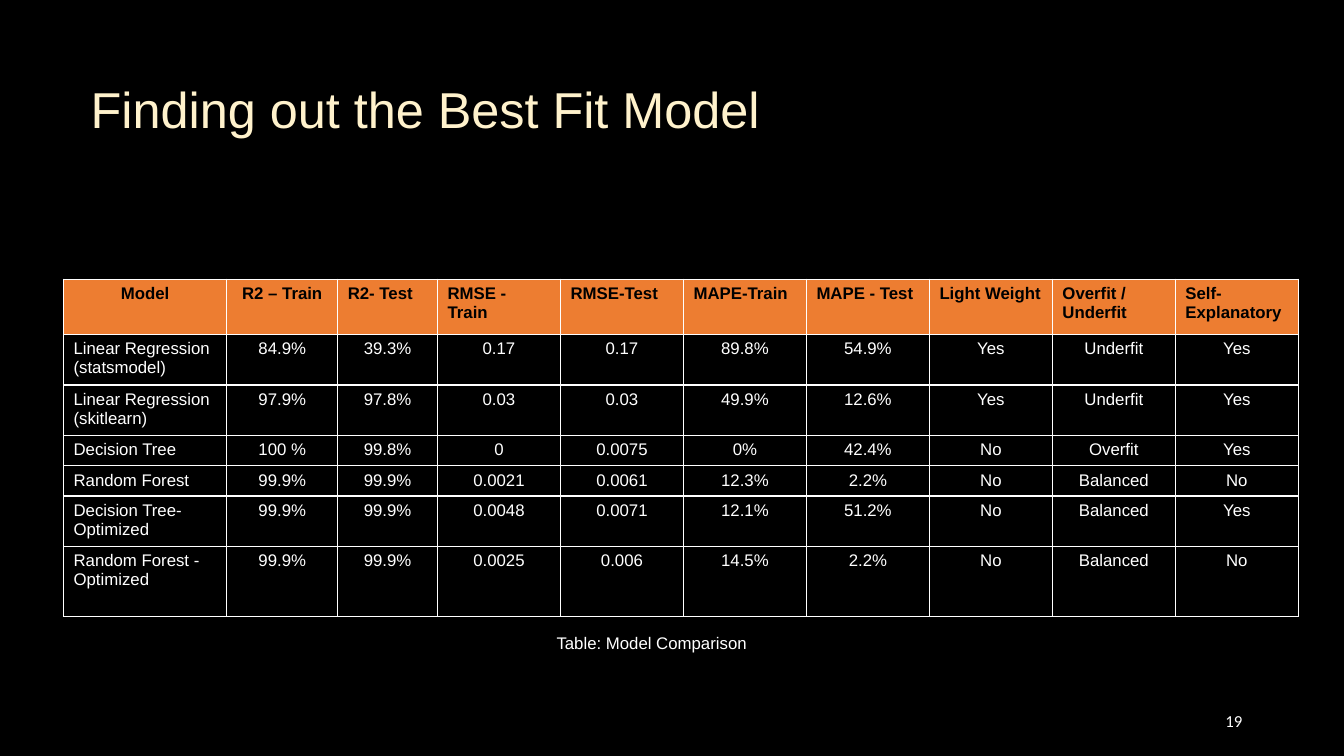
from lxml.etree import SubElement
from pptx import Presentation
from pptx.dml.color import RGBColor
from pptx.enum.text import MSO_ANCHOR as Anchor, PP_ALIGN as Align
from pptx.oxml.ns import qn
from pptx.util import Inches, Pt

BLACK = RGBColor(0x00, 0x00, 0x00)
WHITE = RGBColor(0xFF, 0xFF, 0xFF)
CREAM = RGBColor(0xFF, 0xF2, 0xCC)
ORANGE = RGBColor(0xED, 0x7D, 0x31)

HEADERS = ["Model", "R2 – Train", "R2- Test", "RMSE - Train", "RMSE-Test",
           "MAPE-Train", "MAPE - Test", "Light Weight", "Overfit / Underfit",
           "Self-Explanatory"]
MODELS = [
    ["Linear Regression (statsmodel)", "84.9%", "39.3%", "0.17", "0.17",
     "89.8%", "54.9%", "Yes", "Underfit", "Yes"],
    ["Linear Regression (skitlearn)", "97.9%", "97.8%", "0.03", "0.03",
     "49.9%", "12.6%", "Yes", "Underfit", "Yes"],
    ["Decision Tree", "100 %", "99.8%", "0", "0.0075",
     "0%", "42.4%", "No", "Overfit", "Yes"],
    ["Random Forest", "99.9%", "99.9%", "0.0021", "0.0061",
     "12.3%", "2.2%", "No", "Balanced", "No"],
    ["Decision Tree- Optimized", "99.9%", "99.9%", "0.0048", "0.0071",
     "12.1%", "51.2%", "No", "Balanced", "Yes"],
    ["Random Forest - Optimized", "99.9%", "99.9%", "0.0025", "0.006",
     "14.5%", "2.2%", "No", "Balanced", "No"],
]
COLUMN_WIDTHS = [1.62, 1.1, 0.99] + [1.22] * 7
ROW_HEIGHTS = [0.55, 0.5, 0.5, 0.3, 0.3, 0.5, 0.7]


def write(text_frame, text, size, color, align, font="Arial", bold=False):
    text_frame.text = text
    text_frame.word_wrap = True
    paragraph = text_frame.paragraphs[0]
    paragraph.alignment = align
    for run in paragraph.runs:
        run.font.name = font
        run.font.size = Pt(size)
        run.font.bold = bold
        run.font.color.rgb = color


def add_borders(cell):
    properties = cell._tc.get_or_add_tcPr()
    for side in ("a:lnL", "a:lnR", "a:lnT", "a:lnB"):
        line = SubElement(properties, qn(side), w=str(Pt(1)))
        fill = SubElement(line, qn("a:solidFill"))
        SubElement(fill, qn("a:srgbClr"), val=str(WHITE))


presentation = Presentation()
presentation.slide_width = Inches(13.33)
presentation.slide_height = Inches(7.5)
slide = presentation.slides.add_slide(presentation.slide_layouts[5])
slide.background.fill.solid()
slide.background.fill.fore_color.rgb = BLACK

# Title
title = slide.shapes.title
title.left, title.top = Inches(0.63), Inches(0.72)
title.width, title.height = Inches(7.18), Inches(0.71)
write(title.text_frame, "Finding out the Best Fit Model", 36, CREAM, Align.CENTER)
title.text_frame.vertical_anchor = Anchor.TOP

# Model comparison table
rows = [HEADERS] + MODELS
table = slide.shapes.add_table(
    len(rows), len(HEADERS), Inches(0.63), Inches(2.77),
    Inches(sum(COLUMN_WIDTHS)), Inches(sum(ROW_HEIGHTS))).table
for column, width in zip(table.columns, COLUMN_WIDTHS):
    column.width = Inches(width)
for row, height in zip(table.rows, ROW_HEIGHTS):
    row.height = Inches(height)

for row_index, row in enumerate(rows):
    is_header = row_index == 0
    for column_index, text in enumerate(row):
        cell = table.cell(row_index, column_index)
        # Headers are left-aligned after the second, values after the first is centred
        centred = column_index < 2 if is_header else column_index > 0
        write(cell.text_frame, text, 12, BLACK if is_header else WHITE,
              Align.CENTER if centred else Align.LEFT, bold=is_header)
        add_borders(cell)
        if is_header:
            cell.fill.solid()
            cell.fill.fore_color.rgb = ORANGE
        else:
            cell.fill.background()

# Slide number
number = slide.shapes.add_textbox(Inches(9.42), Inches(6.95), Inches(3), Inches(0.4))
write(number.text_frame, "19", 12, WHITE, Align.RIGHT, font="Calibri")
number.text_frame.vertical_anchor = Anchor.MIDDLE

# Table caption
caption = slide.shapes.add_textbox(Inches(4.23), Inches(6.23), Inches(4.47), Inches(0.3))
write(caption.text_frame, "Table: Model Comparison", 12, WHITE, Align.CENTER)

presentation.save("out.pptx")
